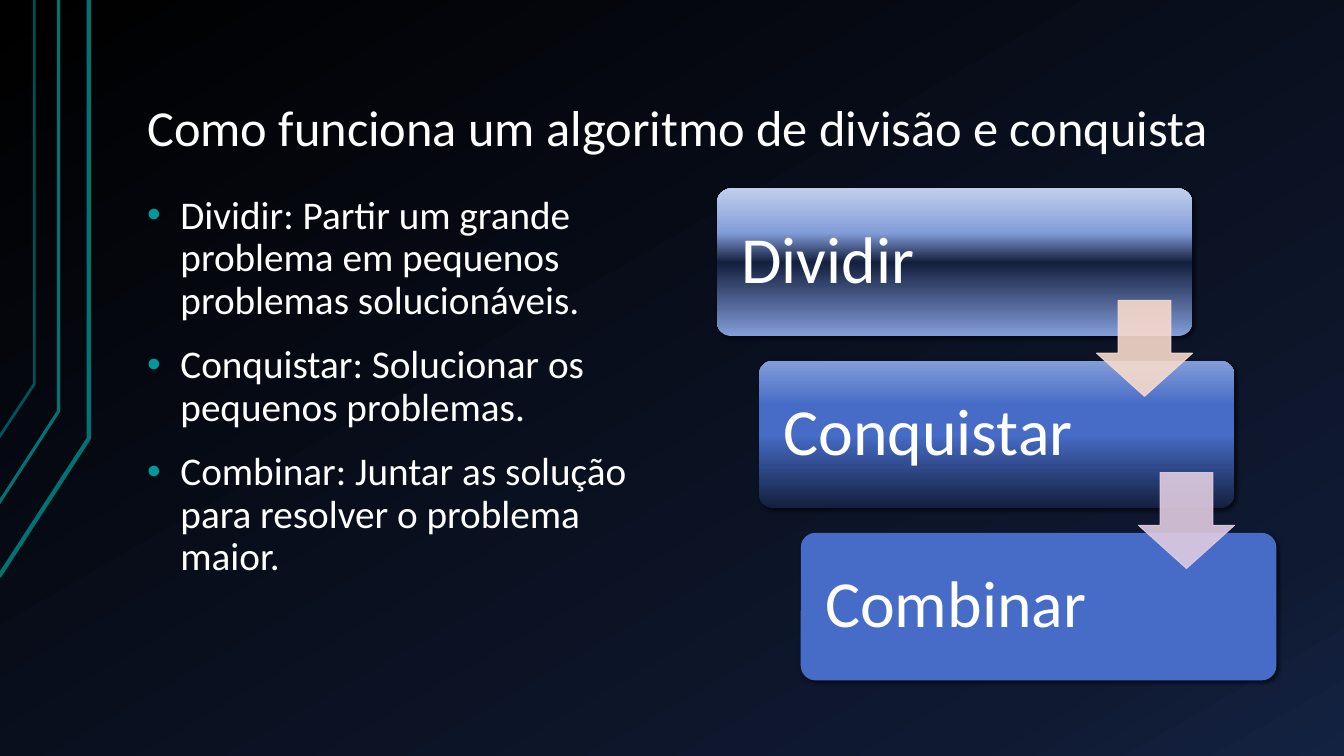
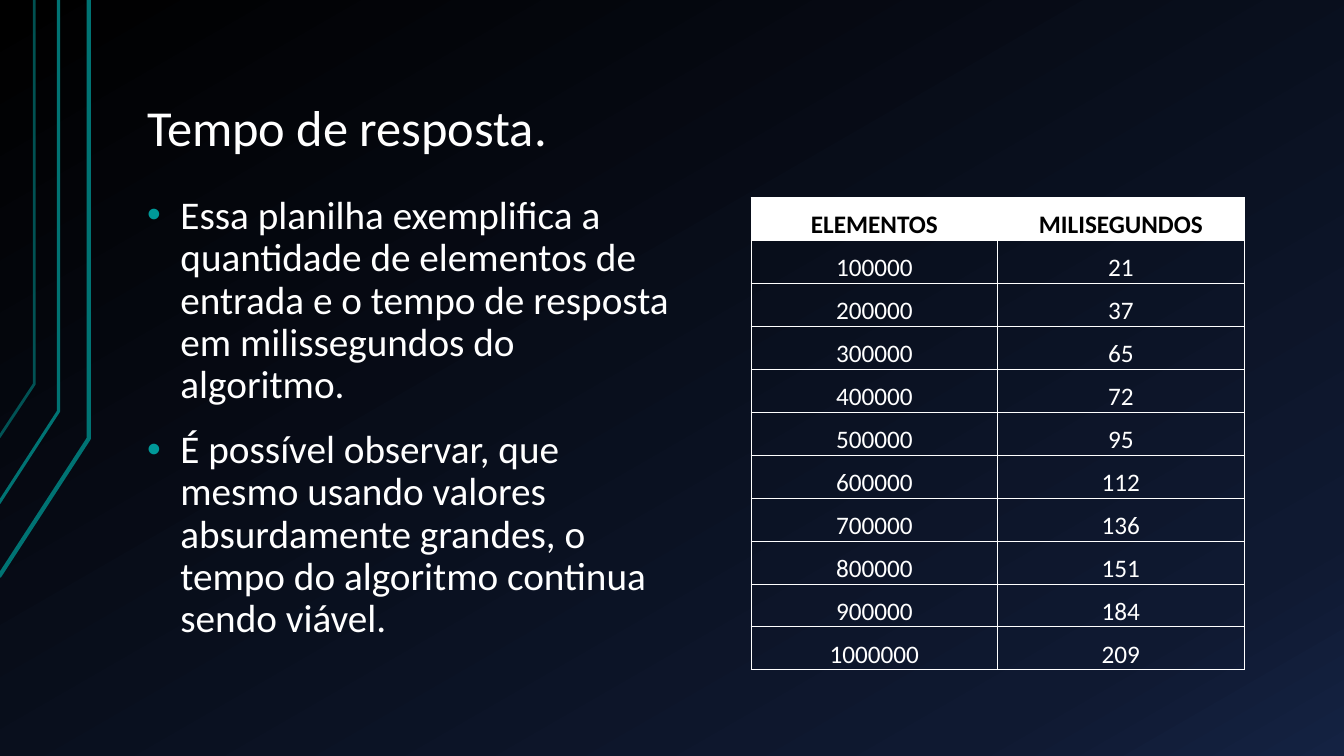
from lxml import etree
from pptx import Presentation
from pptx.dml.color import RGBColor
from pptx.enum.shapes import MSO_SHAPE as Shape
from pptx.enum.text import MSO_ANCHOR as Anchor, PP_ALIGN as Align
from pptx.oxml.ns import qn
from pptx.util import Inches, Pt

# Content
STEPS_TITLE = "Como funciona um algoritmo de divisão e conquista"
STEPS_POINTS = [
    "Dividir: Partir um grande problema em pequenos problemas solucionáveis.",
    "Conquistar: Solucionar os pequenos problemas.",
    "Combinar: Juntar as solução para resolver o problema maior.",
]
TIMES_TITLE = "Tempo de resposta."
TIMES_POINTS = [
    "Essa planilha exemplifica a quantidade de elementos de entrada e o tempo "
    "de resposta em milissegundos do algoritmo.",
    "É possível observar, que mesmo usando valores absurdamente grandes, o "
    "tempo do algoritmo continua sendo viável.",
]
TIMES_HEADER = ("ELEMENTOS", "MILISEGUNDOS")
MILLISECONDS = [21, 37, 65, 72, 95, 112, 136, 151, 184, 209]
TIMES = [(100000 * n, ms) for n, ms in enumerate(MILLISECONDS, 1)]

# Colours and font
FONT = "Calibri"
WHITE = RGBColor(0xFF, 0xFF, 0xFF)
BLACK = RGBColor(0x00, 0x00, 0x00)
NIGHT = RGBColor(0x0F, 0x19, 0x31)
NAVY = RGBColor(0x14, 0x22, 0x42)
TEAL = RGBColor(0x00, 0x73, 0x73)
BULLET = RGBColor(0x00, 0x99, 0x99)
BLUE = RGBColor(0x46, 0x6C, 0xC7)
DEEP = RGBColor(0x13, 0x1F, 0x3E)
SKY = RGBColor(0x83, 0x9D, 0xD9)
PALE = RGBColor(0xC1, 0xCE, 0xEC)
PEACH = RGBColor(0xF7, 0xDA, 0xCC)
LILAC = RGBColor(0xE0, 0xCC, 0xE1)

BACKDROP = [(0, BLACK), (85, NIGHT), (100, NAVY)]
# Each step: word, gradient stops or plain colour, colour of the arrow below it
STEPS = [
    ("Dividir", [(0, SKY), (50, DEEP), (70, SKY), (100, PALE)], PEACH),
    ("Conquistar", [(0, DEEP), (50, BLUE), (70, BLUE), (100, SKY)], LILAC),
    ("Combinar", BLUE, None),
]
# Each bent line: x of the bend, y of the bend, y at the left edge, width, opacity
BENT_LINES = [
    (0.88, 4.35, 5.72, 3, 100),
    (0.58, 4.08, 4.99, 2.25, 100),
    (0.34, 3.81, 4.34, 2, 70),
]

# Layout, in inches
SLIDE_W, SLIDE_H = 13.33, 7.5
LEFT, TITLE_TOP, TITLE_W, TITLE_H = 1.33, 0.29, 11.33, 1.34
BODY_TOP, BODY_W, BODY_H = 1.87, 5.55, 4.88
STEPS_LEFT = LEFT + TITLE_W - BODY_W
TABLE_LEFT, TABLE_TOP, TABLE_W, TABLE_H = 7.45, 1.96, 4.89, 4.69


def inches(*lengths):
    return [Inches(length) for length in lengths]


def add_xml(parent, tag, **attributes):
    child = etree.SubElement(parent, qn(tag))
    for key, value in attributes.items():
        child.set(key, str(value))
    return child


def set_opacity(fill_owner, percent):
    for colour in list(fill_owner.iter(qn("a:srgbClr"))):
        add_xml(colour, "a:alpha", val=percent * 1000)


def set_gradient(fill, owner, stops, angle):
    fill.gradient()
    fill.gradient_angle = angle
    stop_list = owner.find(".//" + qn("a:gsLst"))
    for stop in list(stop_list):
        stop_list.remove(stop)
    for position, colour in stops:
        stop = add_xml(stop_list, "a:gs", pos=position * 1000)
        add_xml(stop, "a:srgbClr", val=colour)


def style(paragraph, size, colour=WHITE, bold=False):
    font = paragraph.runs[0].font
    font.name, font.size, font.bold = FONT, Pt(size), bold
    font.color.rgb = colour


def set_frame(frame, anchor, side, top):
    frame.word_wrap = True
    frame.vertical_anchor = anchor
    frame.margin_left = frame.margin_right = Inches(side)
    frame.margin_top = frame.margin_bottom = Inches(top)


def add_text(slide, box, lines, size, anchor, bulleted=False):
    frame = slide.shapes.add_textbox(*inches(*box)).text_frame
    set_frame(frame, anchor, 0.13, 0.07)
    frame.text = "\n".join(lines)
    for paragraph in frame.paragraphs:
        style(paragraph, size)
        paragraph.line_spacing = 0.9
        if bulleted:
            paragraph.space_before = Pt(16)
            props = paragraph._p.get_or_add_pPr()
            props.set("marL", str(Inches(0.33)))
            props.set("indent", str(-Inches(0.33)))
            add_xml(add_xml(props, "a:buClr"), "a:srgbClr", val=BULLET)
            add_xml(props, "a:buFont", typeface="Arial")
            add_xml(props, "a:buChar", char="•")


def add_slide(prs, title, points):
    slide = prs.slides.add_slide(prs.slide_layouts[6])
    # Bent lines at the left edge
    for x, bend, end, width, opacity in BENT_LINES:
        builder = slide.shapes.build_freeform(*inches(-0.01, end))
        builder.add_line_segments([inches(x, bend), inches(x, 0)], close=False)
        bent = builder.convert_to_shape()
        bent.shadow.inherit = False
        bent.fill.background()
        bent.line.color.rgb = TEAL
        bent.line.width = Pt(width)
        set_opacity(bent.element.spPr, opacity)
    add_text(slide, (LEFT, TITLE_TOP, TITLE_W, TITLE_H), [title], 36, Anchor.BOTTOM)
    add_text(slide, (LEFT, BODY_TOP, BODY_W, BODY_H), points, 28, Anchor.TOP, True)
    return slide


def add_steps(slide):
    width, height = 0.85 * BODY_W, 0.3 * BODY_H
    across = (BODY_W - width) / (len(STEPS) - 1)
    down = (BODY_H - height) / (len(STEPS) - 1)
    side = 0.65 * height
    # Boxes
    for i, (word, paint, _) in enumerate(STEPS):
        place = inches(STEPS_LEFT + i * across, BODY_TOP + i * down, width, height)
        step = slide.shapes.add_shape(Shape.ROUNDED_RECTANGLE, *place)
        step.adjustments[0] = 0.1
        step.line.fill.background()
        if isinstance(paint, list):
            set_gradient(step.fill, step.element.spPr, paint, 90)
        else:
            step.fill.solid()
            step.fill.fore_color.rgb = paint
        step.shadow.inherit = False
        shadow = add_xml(step.element.spPr.find(qn("a:effectLst")), "a:outerShdw",
                         blurRad=Pt(3), dist=Pt(2), dir=45 * 60000)
        add_xml(add_xml(shadow, "a:srgbClr", val=BLACK), "a:alpha", val=60000)
        set_frame(step.text_frame, Anchor.MIDDLE, 0.2, 0.2)
        step.text_frame.text = word
        paragraph = step.text_frame.paragraphs[0]
        paragraph.alignment = Align.LEFT
        paragraph.line_spacing = 0.9
        style(paragraph, 47)
    # Arrows from each box to the next
    for i, (_, _, colour) in enumerate(STEPS[:-1]):
        place = inches(STEPS_LEFT + i * across + width - side,
                       BODY_TOP + (i + 0.65) * down, side, side)
        arrow = slide.shapes.add_shape(Shape.DOWN_ARROW, *place)
        arrow.adjustments[0], arrow.adjustments[1] = 0.55, 0.45
        arrow.shadow.inherit = False
        arrow.fill.solid()
        arrow.fill.fore_color.rgb = arrow.line.color.rgb = colour
        arrow.line.width = Pt(0.75)
        set_opacity(arrow.element.spPr, 90)


def add_borders(cell):
    props = cell._tc.get_or_add_tcPr()
    for edge in ("a:lnL", "a:lnR", "a:lnT", "a:lnB"):
        line = add_xml(props, edge, w=Pt(0.75))
        add_xml(add_xml(line, "a:solidFill"), "a:srgbClr", val=WHITE)


def add_times(slide):
    rows = [TIMES_HEADER] + TIMES
    place = inches(TABLE_LEFT, TABLE_TOP, TABLE_W, TABLE_H)
    table = slide.shapes.add_table(len(rows), len(TIMES_HEADER), *place).table
    for r, row in enumerate(rows):
        for c, value in enumerate(row):
            cell = table.cell(r, c)
            add_borders(cell)
            cell.margin_left = cell.margin_right = cell.margin_top = Inches(0.01)
            cell.margin_bottom = 0
            cell.vertical_anchor = Anchor.BOTTOM
            if r == 0:
                cell.fill.solid()
                cell.fill.fore_color.rgb = WHITE
            else:
                cell.fill.background()
            cell.text_frame.text = str(value)
            paragraph = cell.text_frame.paragraphs[0]
            paragraph.alignment = Align.CENTER
            style(paragraph, 18, WHITE if r else BLACK, bold=r == 0)


def main():
    prs = Presentation()
    prs.slide_width, prs.slide_height = inches(SLIDE_W, SLIDE_H)
    master = prs.slide_master
    set_gradient(master.background.fill, master.element, BACKDROP, 300)
    add_steps(add_slide(prs, STEPS_TITLE, STEPS_POINTS))
    add_times(add_slide(prs, TIMES_TITLE, TIMES_POINTS))
    prs.save("out.pptx")


if __name__ == "__main__":
    main()
